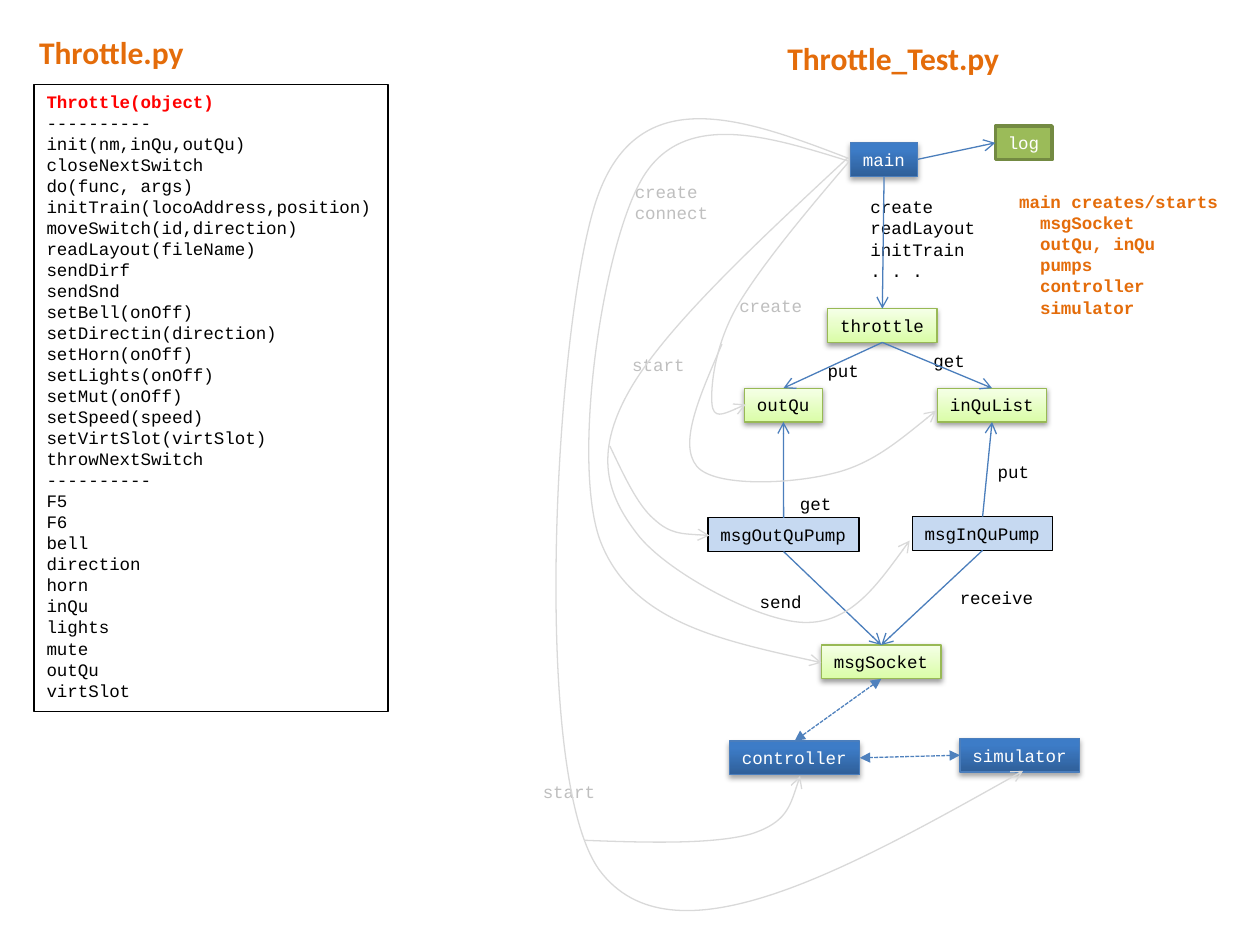
"""Build the slide describing the throttle class and its test program."""
from dataclasses import dataclass
from typing import Optional

from lxml.etree import SubElement
from pptx import Presentation
from pptx.dml.color import RGBColor
from pptx.enum.dml import MSO_LINE
from pptx.enum.shapes import MSO_CONNECTOR, MSO_SHAPE
from pptx.enum.text import MSO_ANCHOR, MSO_AUTO_SIZE, PP_ALIGN
from pptx.oxml.ns import qn
from pptx.util import Pt

BLACK = RGBColor(0x00, 0x00, 0x00)
WHITE = RGBColor(0xFF, 0xFF, 0xFF)
RED = RGBColor(0xFF, 0x00, 0x00)
ORANGE = RGBColor(0xE4, 0x6C, 0x0A)
BLUE = RGBColor(0x4B, 0x7E, 0xBC)
DARK_BLUE = RGBColor(0x2F, 0x5F, 0x99)
BRIGHT_BLUE = RGBColor(0x3D, 0x7C, 0xC7)
DASH_BLUE = RGBColor(0x4F, 0x81, 0xBD)
PALE_BLUE = RGBColor(0xC6, 0xD9, 0xF1)
GREEN = RGBColor(0x9B, 0xBB, 0x59)
DARK_GREEN = RGBColor(0x73, 0x8A, 0x42)
LIME = RGBColor(0xDA, 0xFD, 0xA7)
PALE_LIME = RGBColor(0xF5, 0xFF, 0xE7)
LIME_LINE = RGBColor(0x98, 0xB9, 0x55)
LIGHT_GRAY = RGBColor(0xD9, 0xD9, 0xD9)
GRAY = RGBColor(0xBF, 0xBF, 0xBF)

CODE = {"name": "Courier New", "size": Pt(10), "bold": False}
CODE_BOLD = {**CODE, "bold": True}
HEADING = {"name": "Calibri", "size": Pt(18), "bold": True}
FRAME = {"word_wrap": False, "auto_size": MSO_AUTO_SIZE.SHAPE_TO_FIT_TEXT,
         "vertical_anchor": MSO_ANCHOR.TOP,
         "margin_left": Pt(7.2), "margin_right": Pt(7.2),
         "margin_top": Pt(3.6), "margin_bottom": Pt(3.6)}
PARAGRAPH = {"alignment": PP_ALIGN.LEFT, "space_before": Pt(0), "space_after": Pt(0)}
TOP, LEFT, BOTTOM, RIGHT = range(4)


@dataclass(frozen=True)
class NodeStyle:
    fills: tuple
    line: RGBColor
    text: RGBColor
    line_width: float = 0.75
    gradient_end: float = 1.0
    shadow: Optional[tuple] = None


@dataclass(frozen=True)
class Node:
    text: str
    left: float
    top: float
    style: NodeStyle


@dataclass(frozen=True)
class Label:
    lines: tuple
    left: float
    top: float
    color: RGBColor = BLACK
    font: Optional[dict] = None


@dataclass(frozen=True)
class Link:
    start: str
    start_side: int
    end: str
    end_side: int
    two_way: bool = False


PROCESS = NodeStyle((DARK_BLUE, BRIGHT_BLUE), BLUE, WHITE, gradient_end=0.8, shadow=(35, 1.8))
OBJECT = NodeStyle((LIME, PALE_LIME), LIME_LINE, BLACK, shadow=(38, 1.6))
PUMP = NodeStyle((PALE_BLUE,), BLACK, BLACK)
LOG = NodeStyle((GREEN,), DARK_GREEN, WHITE, line_width=2)

MEMBERS = """Throttle(object)
----------
init(nm,inQu,outQu)
closeNextSwitch
do(func, args)
initTrain(locoAddress,position)
moveSwitch(id,direction)
readLayout(fileName)
sendDirf
sendSnd
setBell(onOff)
setDirectin(direction)
setHorn(onOff)
setLights(onOff)
setMut(onOff)
setSpeed(speed)
setVirtSlot(virtSlot)
throwNextSwitch
----------
F5
F6
bell
direction
horn
inQu
lights
mute
outQu
virtSlot""".split("\n")

NODES = (
    Node("main", 486, 81.4, PROCESS), Node("log", 568.8, 72, LOG),
    Node("simulator", 548.6, 421.9, PROCESS), Node("controller", 416.9, 423.4, PROCESS),
    Node("inQuList", 535.7, 221.8, OBJECT), Node("outQu", 425.5, 221.8, OBJECT),
    Node("throttle", 473, 176.4, OBJECT), Node("msgSocket", 469.4, 368.6, OBJECT),
    Node("msgOutQuPump", 404.6, 295.9, PUMP), Node("msgInQuPump", 521.3, 295.2, PUMP),
)
LABELS = (
    Label(("main creates/starts", "msgSocket", "outQu, inQu", "pumps", "controller", "simulator"),
          575.3, 105.8, ORANGE, CODE_BOLD),
    Label(("create", "readLayout", "initTrain", ". . ."), 490.3, 108.7),
    Label(("get",), 526.3, 196.6), Label(("put",), 465.8, 202.3),
    Label(("get",), 450, 277.9), Label(("put",), 563, 259.9),
    Label(("send",), 427, 334.1), Label(("receive",), 541.4, 331.9),
    Label(("start",), 303.1, 442.8, GRAY), Label(("create", "connect"), 355.7, 100.1, GRAY),
    Label(("create",), 415.4, 164.9, GRAY), Label(("start",), 354.2, 198.7, GRAY),
)
LINKS = (
    Link("main", RIGHT, "log", LEFT), Link("main", BOTTOM, "throttle", TOP),
    Link("throttle", BOTTOM, "outQu", TOP), Link("throttle", BOTTOM, "inQuList", TOP),
    Link("msgOutQuPump", TOP, "outQu", BOTTOM), Link("msgInQuPump", TOP, "inQuList", BOTTOM),
    Link("msgOutQuPump", BOTTOM, "msgSocket", TOP), Link("msgInQuPump", BOTTOM, "msgSocket", TOP),
    Link("msgSocket", BOTTOM, "controller", TOP, True),
    Link("simulator", LEFT, "controller", RIGHT, True),
)
CURVES = (
    ((485.3, 90.7), (425.5, 67.7), (365, 45.4), (341.3, 113), (317.5, 180.7), (302.4, 442.8),
     (342.7, 497.5), (383.8, 552.2), (484.6, 496.8), (584.6, 440.6)),
    ((334.1, 480.2), (371.5, 481.7), (408.2, 482.4), (429.1, 476.6), (449.3, 470.2),
     (452.9, 456.5), (457.2, 443.5)),
    ((485.3, 92.2), (439.2, 77.8), (392.4, 63.4), (368.6, 99.4), (344.9, 135.4), (326.2, 261.4),
     (342.7, 308.2), (360, 355), (414.7, 366.5), (469.4, 378.7)),
    ((485.3, 92.2), (460.1, 121.7), (434.9, 151.9), (421.2, 175), (408.2, 198), (406.1, 221),
     (406.8, 230.4), (407.5, 239.8), (416.9, 235.4), (426.2, 231.1)),
    ((412.6, 196.6), (400.3, 225.4), (387.4, 253.4), (398.2, 266.4), (408.2, 278.6),
     (452.2, 276.5), (475.2, 270.7), (497.5, 265.7), (516.2, 249.8), (535, 234.7)),
    ((484.6, 90), (432, 139), (379.4, 187.9), (359.3, 223.9), (339.1, 259.9), (347, 283),
     (364.3, 305.3), (380.9, 326.9), (433.4, 355), (459.4, 355.7), (485.3, 356.4),
     (502.6, 332.6), (519.8, 308.9)),
    ((348.5, 254.9), (356.4, 271.4), (364.3, 288.7), (373.7, 296.6), (383, 305.3),
     (394.6, 305.3), (405.4, 306)),
)


def apply(target, values: dict) -> None:
    for name, value in values.items():
        setattr(target, name, value)


def write(shape, lines, font: dict, color: RGBColor) -> None:
    frame = shape.text_frame
    frame.text = "\n".join(lines)
    apply(frame, FRAME)
    for paragraph in frame.paragraphs:
        apply(paragraph, PARAGRAPH)
        apply(paragraph.runs[0].font, font)
        paragraph.runs[0].font.color.rgb = color


def indent(paragraph, points: float) -> None:
    apply_to = paragraph._p.get_or_add_pPr()
    apply_to.set("marL", str(Pt(points)))
    apply_to.set("indent", "0")


def place(shape, left: float, top: float, width: float, height: float) -> None:
    apply(shape, {"left": Pt(left), "top": Pt(top), "width": Pt(width), "height": Pt(height)})


def code_box(left: float, top: float, lines) -> tuple:
    return (Pt(left), Pt(top), Pt(6 * max(map(len, lines)) + 14.4), Pt(12.1 * len(lines) + 7.2))


def set_line(line, color: RGBColor, width: float = 0.75, **ends: str) -> None:
    line.color.rgb = color
    line.width = Pt(width)
    for end, kind in ends.items():
        SubElement(line._get_or_add_ln(), qn(f"a:{end}"), type=kind)


def draw_node(slide, node: Node):
    style = node.style
    shape = slide.shapes.add_shape(MSO_SHAPE.RECTANGLE, *code_box(node.left, node.top, [node.text]))
    if len(style.fills) > 1:
        shape.fill.gradient()
        shape.fill.gradient_angle = 90
        for stop, color, position in zip(shape.fill.gradient_stops, style.fills, (0, style.gradient_end)):
            stop.color.rgb = color
            stop.position = position
    else:
        shape.fill.solid()
        shape.fill.fore_color.rgb = style.fills[0]
    set_line(shape.line, style.line, style.line_width)
    shape.shadow.inherit = False
    if style.shadow:
        opacity, distance = style.shadow
        shadow = SubElement(shape.element.spPr.find(qn("a:effectLst")), qn("a:outerShdw"),
                            blurRad=str(Pt(3.1)), dist=str(Pt(distance)), dir="5400000", rotWithShape="0")
        color = SubElement(shadow, qn("a:srgbClr"), val=str(BLACK))
        SubElement(color, qn("a:alpha"), val=str(opacity * 1000))
    write(shape, [node.text], CODE, style.text)
    return shape


def draw_label(slide, label: Label) -> None:
    shape = slide.shapes.add_textbox(*code_box(label.left, label.top, label.lines))
    write(shape, label.lines, label.font or CODE, label.color)
    if label.font is CODE_BOLD:
        for paragraph in shape.text_frame.paragraphs[1:]:
            indent(paragraph, 12)


def draw_link(slide, link: Link, nodes: dict) -> None:
    connector = slide.shapes.add_connector(MSO_CONNECTOR.STRAIGHT, 0, 0, 0, 0)
    connector.begin_connect(nodes[link.start], link.start_side)
    connector.end_connect(nodes[link.end], link.end_side)
    if link.two_way:
        connector.line.dash_style = MSO_LINE.SQUARE_DOT
        set_line(connector.line, DASH_BLUE, headEnd="triangle", tailEnd="triangle")
    else:
        set_line(connector.line, BLUE, tailEnd="arrow")
    SubElement(connector._element.spPr, qn("a:effectLst"))


def curve_point(controls, t: float) -> tuple:
    weights = ((1 - t) ** 3, 3 * t * (1 - t) ** 2, 3 * t * t * (1 - t), t ** 3)
    return tuple(Pt(sum(w * p[axis] for w, p in zip(weights, controls))) for axis in (0, 1))


def draw_curve(slide, points: tuple) -> None:
    pieces = [points[i:i + 4] for i in range(0, len(points) - 1, 3)]
    samples = [curve_point(piece, step / 20) for piece in pieces for step in range(1, 21)]
    builder = slide.shapes.build_freeform(Pt(points[0][0]), Pt(points[0][1]))
    builder.add_line_segments(samples, close=False)
    shape = builder.convert_to_shape()
    outline = next(shape.element.iter(qn("a:path")))
    for segment in outline.findall(qn("a:lnTo")):
        outline.remove(segment)
    for piece in pieces:
        bezier = SubElement(outline, qn("a:cubicBezTo"))
        for x, y in piece[1:]:
            SubElement(bezier, qn("a:pt"), x=str(Pt(x) - shape.left), y=str(Pt(y) - shape.top))
    shape.fill.background()
    set_line(shape.line, LIGHT_GRAY, tailEnd="arrow")
    shape.shadow.inherit = False


def main() -> None:
    presentation = Presentation()
    apply(presentation, {"slide_width": Pt(720), "slide_height": Pt(540)})
    slide = presentation.slides.add_slide(presentation.slide_layouts[1])
    title, body = slide.placeholders
    place(title, 15.1, 15.1, 97.9, 28.8)
    write(title, ["Throttle.py"], HEADING, ORANGE)
    place(body, 19.4, 48.2, 202.3, 358.6)
    write(body, MEMBERS, CODE, BLACK)
    body.text_frame.auto_size = MSO_AUTO_SIZE.NONE
    set_line(body.line, BLACK)
    for paragraph in body.text_frame.paragraphs:
        indent(paragraph, 0)
        SubElement(paragraph._p.get_or_add_pPr(), qn("a:buNone"))
    class_font = body.text_frame.paragraphs[0].runs[0].font
    class_font.bold = True
    class_font.color.rgb = RED
    test_title = slide.shapes.add_textbox(Pt(442.8), Pt(18.7), Pt(136.8), Pt(28.8))
    write(test_title, ["Throttle_Test.py"], HEADING, ORANGE)

    nodes = {node.text: draw_node(slide, node) for node in NODES}
    for label in LABELS:
        draw_label(slide, label)
    for link in LINKS:
        draw_link(slide, link, nodes)
    for points in CURVES:
        draw_curve(slide, points)
    presentation.save("out.pptx")


if __name__ == "__main__":
    main()
